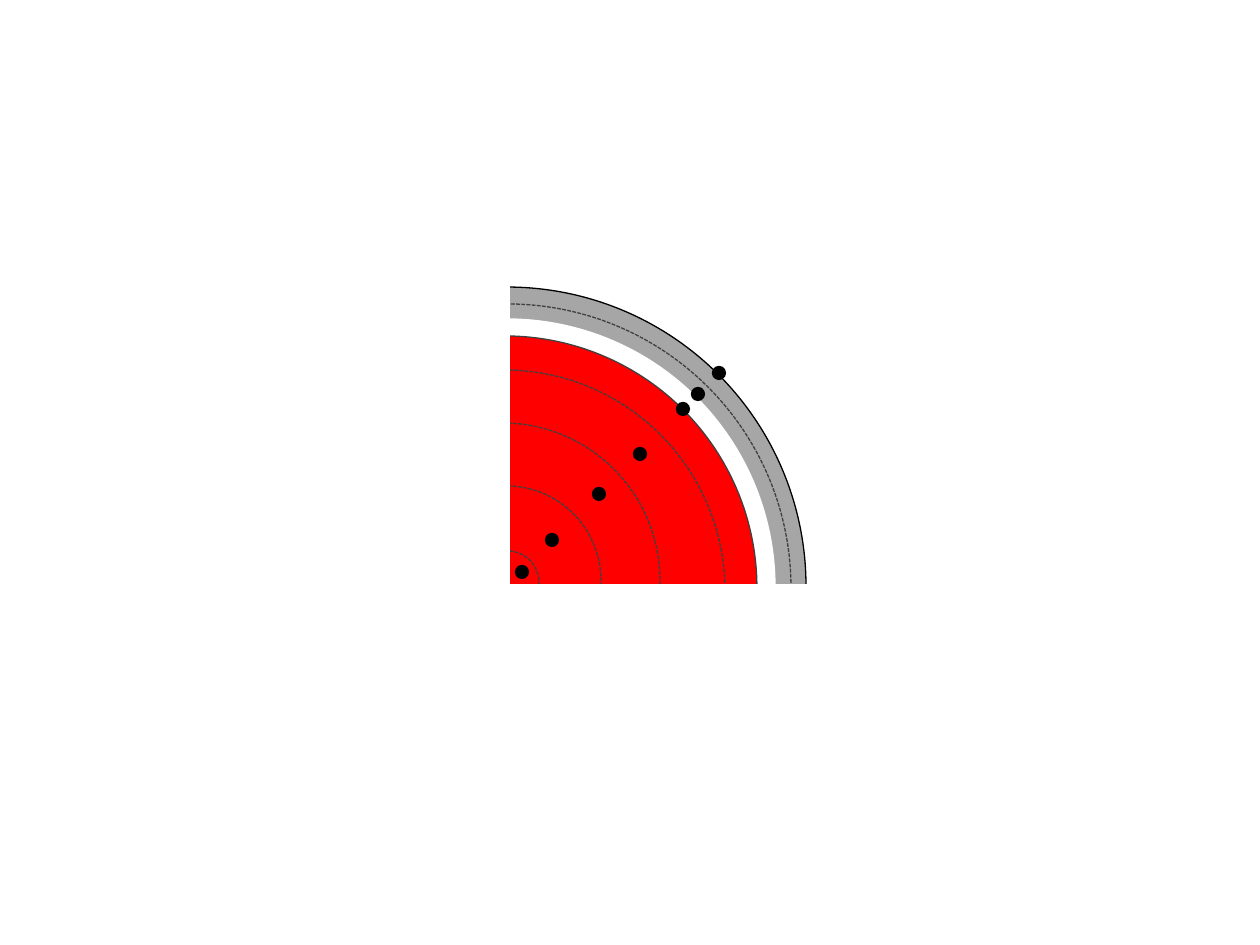
from pptx import Presentation
from pptx.dml.color import RGBColor
from pptx.enum.dml import MSO_LINE_DASH_STYLE as DASH
from pptx.enum.shapes import MSO_SHAPE as SHAPE
from pptx.util import Inches, Pt

PX = Inches(1) / 126
BLACK, WHITE, RED = "000000", "FFFFFF", "FF0000"
GREY, DARK = "A6A6A6", "404040"
DOT = 13

# left, top, diameter, fill, outline
DISCS = [
    (0, 0, 598, GREY, BLACK),
    (31, 32, 536, WHITE, WHITE),
    (45, 49, 504, RED, DARK),
]
# left, top, diameter
RINGS = [(268, 264, 63), (137, 136, 315), (76, 83, 441),
         (204, 199, 189), (16, 17, 567)]
# left, top, width, height
MASKS = [(-189, -53, 490, 675), (268, 298, 490, 333)]
# centre of each dot along the diagonal
DOTS = [(314, 285), (344, 253), (391, 207), (432, 167),
        (475, 122), (490, 107), (511, 86)]


def px(length):
    """Turn pixels into EMU."""
    return round(length * PX)


def color(hex_code):
    """Turn a hex string into a colour."""
    return RGBColor.from_string(hex_code)


def add_part(slide, kind, box, fill, outline, dash=None):
    """Add one outlined shape; without a fill it stays transparent."""
    part = slide.shapes.add_shape(kind, *map(px, box))
    part.shadow.inherit = False
    if fill:
        part.fill.solid()
        part.fill.fore_color.rgb = color(fill)
    else:
        part.fill.background()
    part.line.color.rgb = color(outline)
    part.line.width = Pt(0.75)
    if dash:
        part.line.dash_style = dash


def add_quarter_section(slide, left, top):
    """Draw the layered discs, mask all but a quarter, and add the dots."""
    for x, y, size, fill, outline in DISCS:
        add_part(slide, SHAPE.OVAL, (left + x, top + y, size, size), fill, outline)
    for x, y, size in RINGS:
        add_part(slide, SHAPE.OVAL, (left + x, top + y, size, size),
                 None, DARK, DASH.SQUARE_DOT)
    for x, y, width, height in MASKS:
        add_part(slide, SHAPE.RECTANGLE, (left + x, top + y, width, height),
                 WHITE, WHITE)
    for x, y in DOTS:
        add_part(slide, SHAPE.OVAL,
                 (left + x - DOT / 2, top + y - DOT / 2, DOT, DOT), BLACK, BLACK)


def main():
    """Build and save the slide."""
    deck = Presentation()
    deck.slide_width, deck.slide_height = px(1260), px(945)
    slide = deck.slides.add_slide(deck.slide_layouts[6])
    add_quarter_section(slide, 208, 287)
    deck.save("out.pptx")


main()
